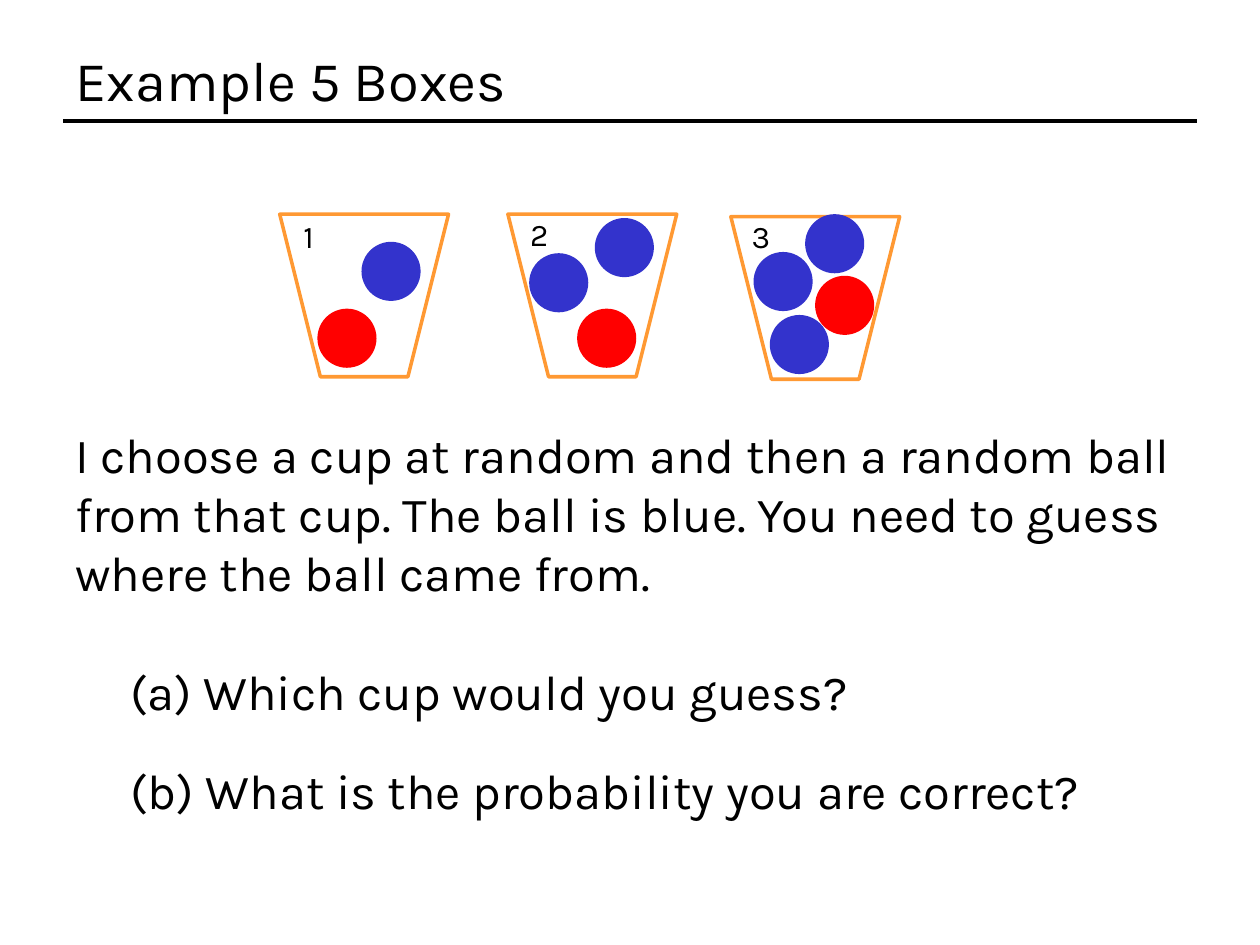
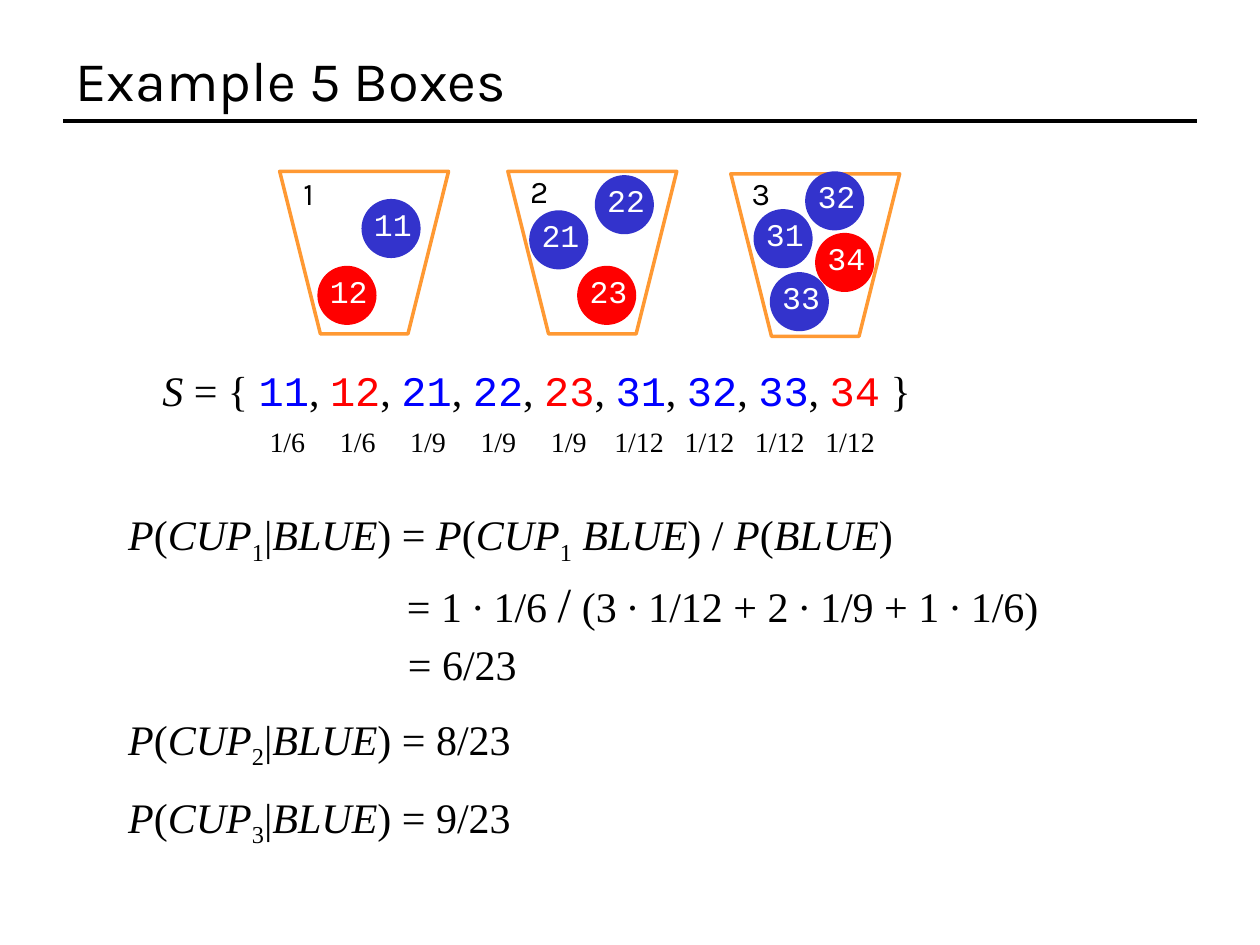
from dataclasses import dataclass

from lxml import etree
from pptx import Presentation
from pptx.dml.color import RGBColor
from pptx.enum.shapes import MSO_CONNECTOR, MSO_SHAPE
from pptx.enum.text import MSO_ANCHOR, MSO_AUTO_SIZE, PP_ALIGN
from pptx.oxml.ns import qn
from pptx.util import Pt

OVAL = MSO_SHAPE.OVAL
TRAP = MSO_SHAPE.TRAPEZOID
LINE = MSO_CONNECTOR.STRAIGHT
MID, TOP = MSO_ANCHOR.MIDDLE, MSO_ANCHOR.TOP
LEFT, MIDST = PP_ALIGN.LEFT, PP_ALIGN.CENTER
GROW, FIXED = MSO_AUTO_SIZE.SHAPE_TO_FIT_TEXT, MSO_AUTO_SIZE.NONE


@dataclass(frozen=True)
class Theme:
    ink: str = "000000"
    white: str = "FFFFFF"
    rim: str = "FF9933"
    red: str = "FF0000"
    blue: str = "3333CC"
    bright: str = "0000FF"
    sans: str = "Karla"
    serif: str = "Times New Roman"
    mono: str = "Courier New"
    head: int = 32
    body: int = 28
    math: int = 24
    tag: int = 18
    small: int = 16


THEME = Theme()
TITLE = "Example 5 Boxes"
CUP_W, CUP_H, BALL, TAG = 96.5, 92.9, 33.8, 36

# Cup: place, offset of its number, then balls as (label, dx, dy, is blue)
CUPS = [
    ((159.8, 122.4), (-1.4, -5.8),
     [("11", 46.8, 15.8, True), ("12", 21.6, 54, False)]),
    ((290.2, 122.4), (0, -6.5),
     [("21", 12.2, 22.3, True), ("22", 49.7, 2.2, True),
      ("23", 39.6, 54, False)]),
    ((417.6, 123.8), (-0.7, -7.2),
     [("31", 13, 20.2, True), ("32", 42.5, -1.4, True),
      ("33", 22.3, 56.2, True), ("34", 48.2, 33.8, False)]),
]
ITAL = {"italic": True}
SUB = {"sub": True}


def write(para, text, font=THEME.sans, size=THEME.body, color=THEME.ink,
          italic=False, sub=False):
    run = para.add_run()
    run.text = text
    run.font.name = font
    run.font.size = Pt(size)
    run.font.italic = italic
    run.font.color.rgb = RGBColor.from_string(color)
    if sub:
        run.font._element.set("baseline", "-25000")


class Deck:
    def __init__(self, theme):
        self.theme = theme
        self.prs = Presentation()
        self.prs.slide_width, self.prs.slide_height = Pt(720), Pt(540)
        self.slide = None

    def page(self, title):
        self.slide = self.prs.slides.add_slide(self.prs.slide_layouts[6])
        self.rule(36, 69.1, 684)
        self.text(36, 21.6, 648, 47.5, title, anchor=MID, fit=FIXED,
                  size=self.theme.head)

    def rule(self, x, y, end):
        line = self.slide.shapes.add_connector(LINE, Pt(x), Pt(y), Pt(end), Pt(y))
        line.line.color.rgb = RGBColor.from_string(self.theme.ink)
        line.line.width = Pt(2)
        etree.SubElement(line._element.spPr, qn("a:effectLst"))

    def shape(self, kind, x, y, w, h, fill=None, edge=None):
        item = self.slide.shapes.add_shape(kind, Pt(x), Pt(y), Pt(w), Pt(h))
        item.shadow.inherit = False
        if fill:
            item.fill.solid()
            item.fill.fore_color.rgb = RGBColor.from_string(fill)
        else:
            item.fill.background()
        if edge:
            item.line.color.rgb = RGBColor.from_string(edge)
            item.line.width = Pt(2)
        else:
            item.line.fill.background()
        return item

    def fill(self, item, runs, wrap=True, align=LEFT, anchor=TOP, fit=GROW,
             **base):
        """Put runs, a string or (text, format) pairs, into a shape."""
        frame = item.text_frame
        frame.word_wrap = wrap
        frame.auto_size = fit
        frame.vertical_anchor = anchor
        para = frame.paragraphs[0]
        para.alignment = align
        for text, form in [(runs, {})] if isinstance(runs, str) else runs:
            write(para, text, **{**base, **form})

    def text(self, x, y, w, h, runs, **form):
        box = self.slide.shapes.add_textbox(Pt(x), Pt(y), Pt(w), Pt(h))
        self.fill(box, runs, **form)

    def math(self, x, y, w, h, runs, size=THEME.math, **form):
        self.text(x, y, w, h, runs, wrap=False, font=self.theme.serif,
                  size=size, **form)

    def cup(self, num, x, y, shift, balls, named):
        look = self.theme
        self.shape(TRAP, x, y, CUP_W, CUP_H, edge=look.rim).rotation = 180
        for name, dx, dy, blue in balls:
            self.shape(OVAL, x + dx, y + dy, BALL, BALL,
                       fill=look.blue if blue else look.red)
            if named:
                self.text(x + dx, y + dy, 36, 28.8, name, wrap=False,
                          font=look.mono, size=look.tag, color=look.white)
        tag = self.shape(OVAL, x + shift[0], y + shift[1], TAG, TAG)
        self.fill(tag, str(num), wrap=False, align=MIDST, anchor=MID,
                  fit=FIXED, size=look.tag)

    def cups(self, lift=0, named=False):
        for num, ((x, y), shift, balls) in enumerate(CUPS, 1):
            self.cup(num, x, y - lift, shift, balls, named)

    def space(self):
        """Sample space with the chance of each ball below it."""
        look = self.theme
        runs = [("S", ITAL), (" = { ", {})]
        odds = []
        for _, _, balls in CUPS:
            for name, _, _, blue in balls:
                if odds:
                    runs.append((", ", {}))
                runs.append((name, {"font": look.mono,
                                    "color": look.bright if blue else look.red}))
                odds.append(f"1/{len(CUPS) * len(balls)}")
        self.math(85.7, 204.5, 444.2, 36, runs + [(" }", {})])
        for i, odd in enumerate(odds):
            wide = 13.4 + 8 * len(odd)
            self.math(164.2 + 40.2 * i - wide / 2, 239, wide, 26.6, odd,
                      size=look.small, align=MIDST)


def given(num):
    """Runs for the chance of a cup, given a blue ball."""
    return [("P", ITAL), ("(", {}), ("CUP", ITAL), (str(num), SUB),
            ("|", {}), ("BLUE", ITAL), (") = ", {})]


def main():
    deck = Deck(THEME)

    deck.page(TITLE)
    deck.cups()
    deck.text(36, 239, 648, 108.7,
              "I choose a cup at random and then a random ball from that cup. "
              "The ball is blue. You need to guess where the ball came from.")
    deck.text(67.2, 374.4, 553.7, 41, "(a) Which cup would you guess?")
    deck.text(67.5, 431.3, 583.2, 41,
              "(b) What is the probability you are correct?")

    deck.page(TITLE)
    deck.cups(lift=24.5, named=True)
    deck.space()
    deck.math(66.2, 287.3, 471.6, 36, given(1) + [
        ("P", ITAL), ("(", {}), ("CUP", ITAL), ("1", SUB), (" ", {}),
        ("BLUE", ITAL), (") / ", {}), ("P", ITAL), ("(", {}),
        ("BLUE", ITAL), (")", {})])
    deck.math(225.4, 324, 411.8, 41, [
        ("= 1 ∙ 1/6 ", {}), ("/", {"size": THEME.body}),
        (" (3 ∙ 1/12 + 2 ∙ 1/9 + 1 ∙ 1/6)", {})])
    deck.math(226, 361.4, 82.8, 36, "= 6/23")
    for num, y, odd in [(2, 403.9, "8/23"), (3, 448.6, "9/23")]:
        deck.math(66.2, y, 245.5, 36, given(num) + [(odd, {})])

    deck.prs.save("out.pptx")


if __name__ == "__main__":
    main()
